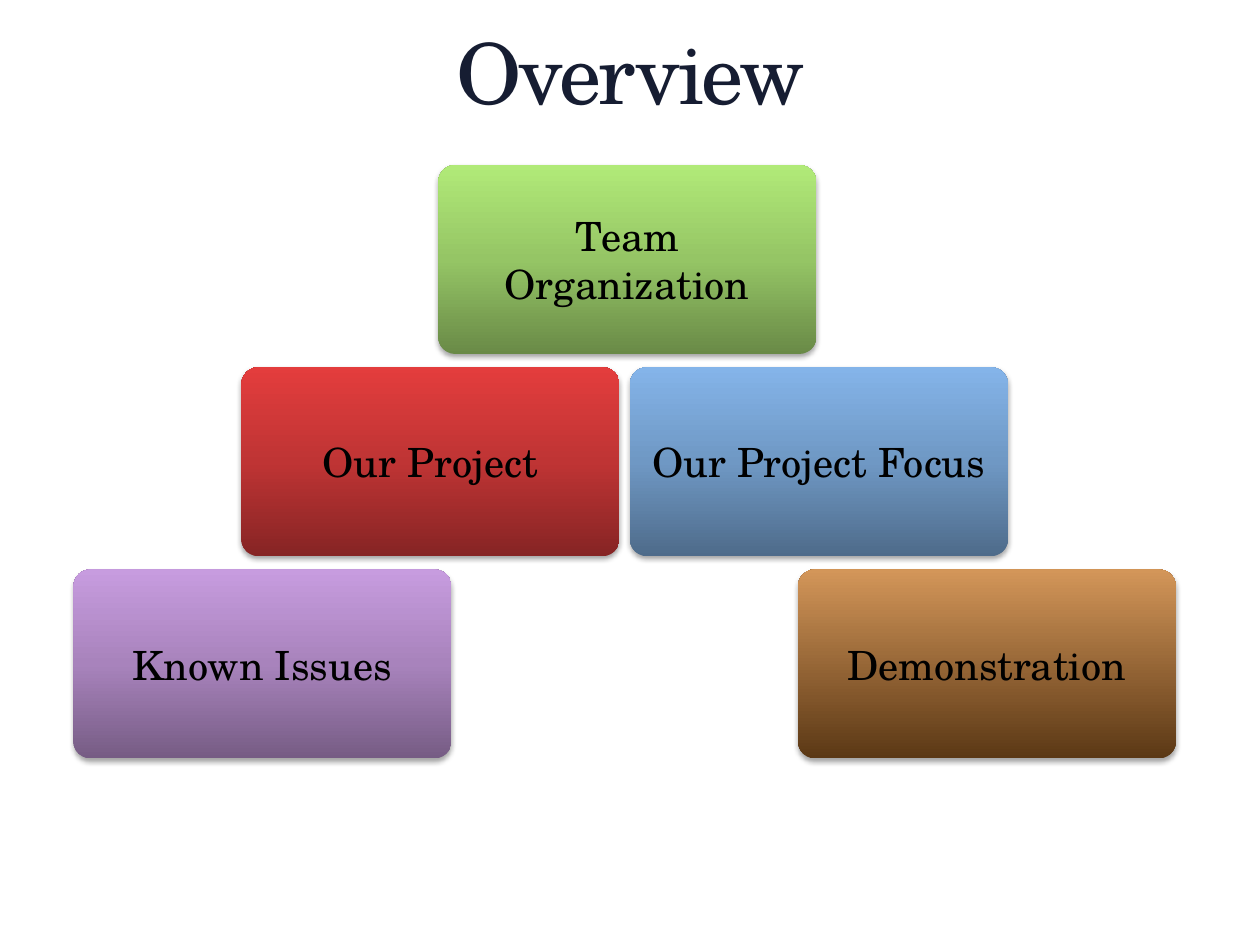
from dataclasses import dataclass

from lxml.etree import SubElement
from pptx import Presentation
from pptx.dml.color import RGBColor
from pptx.dml.fill import FillFormat
from pptx.enum.shapes import MSO_SHAPE
from pptx.enum.text import MSO_ANCHOR, MSO_AUTO_SIZE, PP_ALIGN
from pptx.oxml.ns import qn
from pptx.oxml.xmlchemy import BaseOxmlElement
from pptx.slide import Slide
from pptx.util import Inches, Pt

Stops = tuple[tuple[int, str], ...]  # (percent, colour)


@dataclass(frozen=True)
class Theme:
    font: str = "TeX Gyre Schola"
    title_size: float = 48
    card_size: float = 23
    card_text: str = "000000"
    shadow: str = "000000"
    title: Stops = ((0, "2E59B0"), (49, "161D32"), (100, "000000"))
    green: Stops = ((0, "698A47"), (50, "95C565"), (100, "B1EA78"))
    red: Stops = ((0, "862424"), (50, "BF3434"), (100, "E33D3D"))
    blue: Stops = ((0, "4E6B8A"), (50, "6F98C4"), (100, "84B4E9"))
    purple: Stops = ((0, "765C84"), (50, "A883BC"), (100, "C79CDF"))
    brown: Stops = ((0, "5B3815"), (100, "D39659"))


@dataclass(frozen=True)
class Card:
    label: str
    column: float  # grid columns from the left edge
    row: int
    stops: Stops


THEME = Theme()
SLIDE_WIDTH, SLIDE_HEIGHT = Inches(10), Inches(7.5)

# Grid: 120 columns across the slide, three rows of cards
COLUMN = SLIDE_WIDTH / 120
FIRST_ROW, ROW_PITCH = Inches(1.31), Inches(1.605)
CARD_WIDTH, CARD_HEIGHT = Inches(3), Inches(1.5)

CARDS = (
    Card("Our Project Focus", 60, 1, THEME.blue),
    Card("Known Issues", 7, 2, THEME.purple),
    Card("Our Project", 23, 1, THEME.red),
    Card("Team Organization", 41.75, 0, THEME.green),
    Card("Demonstration", 76, 2, THEME.brown),
)


def apply_gradient(fill: FillFormat, owner: BaseOxmlElement, stops: Stops, angle: float) -> None:
    """Fill with a linear gradient; the angle runs counter-clockwise."""
    fill.gradient()
    fill.gradient_angle = angle
    stop_list = owner.find(qn("a:gradFill")).find(qn("a:gsLst"))
    for default_stop in list(stop_list):
        stop_list.remove(default_stop)
    for percent, colour in stops:
        stop = SubElement(stop_list, qn("a:gs"), pos=str(percent * 1000))
        SubElement(stop, qn("a:srgbClr"), val=colour)


def add_soft_shadow(properties: BaseOxmlElement) -> None:
    shadow = SubElement(
        properties.find(qn("a:effectLst")), qn("a:outerShdw"),
        blurRad=str(Pt(3.1)), dist=str(Pt(1.8)), dir="5400000", rotWithShape="0",
    )
    colour = SubElement(shadow, qn("a:srgbClr"), val=THEME.shadow)
    SubElement(colour, qn("a:alpha"), val="35000")


def set_title(slide: Slide, text: str) -> None:
    title = slide.shapes.title
    title.left, title.top = Inches(0.42), Inches(0.25)
    title.width, title.height = Inches(9.17), Inches(0.73)
    frame = title.text_frame
    frame.margin_left = frame.margin_right = frame.margin_top = frame.margin_bottom = 0
    frame.vertical_anchor = MSO_ANCHOR.TOP
    frame.word_wrap = True
    frame.auto_size = MSO_AUTO_SIZE.SHAPE_TO_FIT_TEXT
    paragraph = frame.paragraphs[0]
    paragraph.alignment = PP_ALIGN.CENTER
    paragraph.line_spacing = 0.9
    heading = paragraph.add_run()
    heading.text = text
    heading.font.name = THEME.font
    heading.font.size = Pt(THEME.title_size)
    # Tight letter spacing and gradient letters
    properties = heading._r.get_or_add_rPr()
    properties.set("spc", "-150")
    apply_gradient(heading.font.fill, properties, THEME.title, 270)


def add_card(slide: Slide, card: Card) -> None:
    box = slide.shapes.add_shape(
        MSO_SHAPE.ROUNDED_RECTANGLE,
        round(card.column * COLUMN), FIRST_ROW + card.row * ROW_PITCH,
        CARD_WIDTH, CARD_HEIGHT,
    )
    box.adjustments[0] = 0.09
    apply_gradient(box.fill, box._element.spPr, card.stops, 90)
    box.line.fill.background()
    box.shadow.inherit = False
    add_soft_shadow(box._element.spPr)

    frame = box.text_frame
    frame.word_wrap = True
    frame.vertical_anchor = MSO_ANCHOR.MIDDLE
    paragraph = frame.paragraphs[0]
    paragraph.text = card.label
    paragraph.alignment = PP_ALIGN.CENTER
    paragraph.font.name = THEME.font
    paragraph.font.size = Pt(THEME.card_size)
    paragraph.font.color.rgb = RGBColor.from_string(THEME.card_text)


def main() -> None:
    presentation = Presentation()
    presentation.slide_width, presentation.slide_height = SLIDE_WIDTH, SLIDE_HEIGHT
    slide = presentation.slides.add_slide(presentation.slide_layouts.get_by_name("Title Only"))
    set_title(slide, "Overview")
    for card in CARDS:
        add_card(slide, card)
    presentation.save("out.pptx")


if __name__ == "__main__":
    main()
